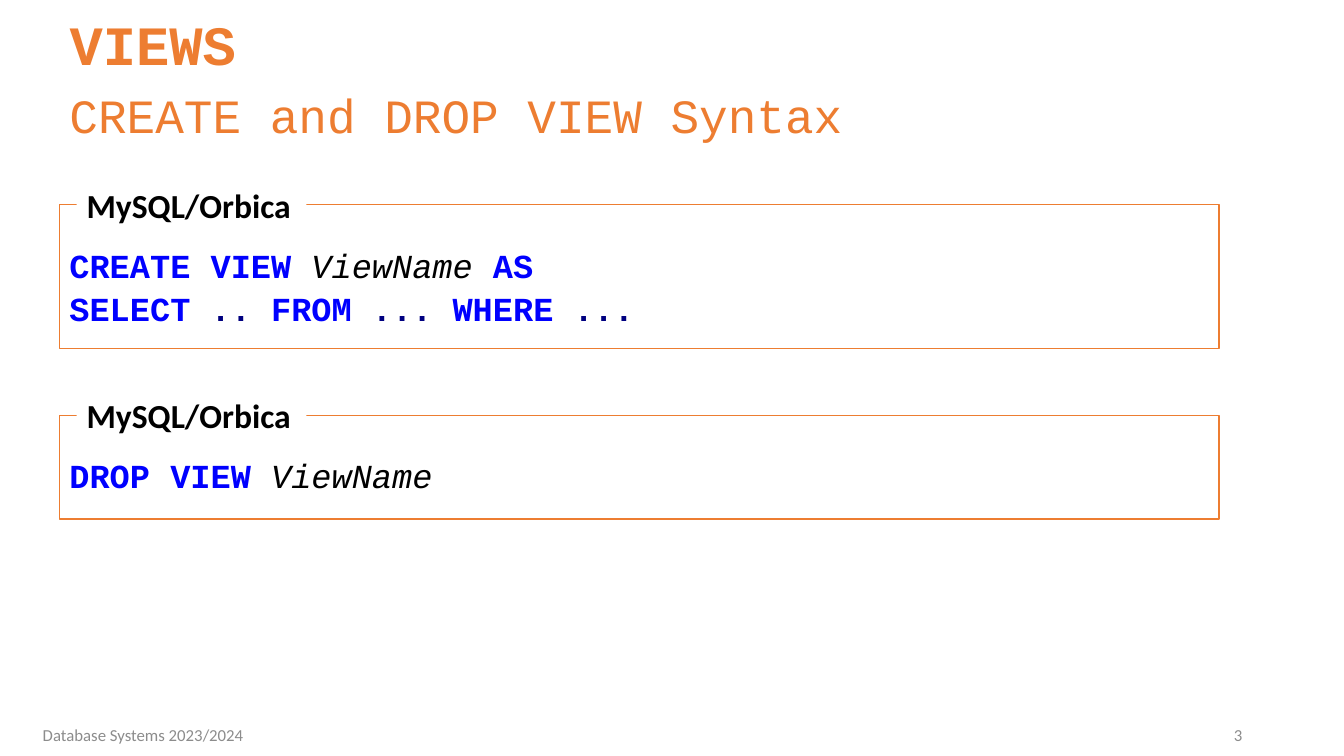
"""Build the slide on CREATE VIEW and DROP VIEW syntax."""
import pptx
import pptx.dml.color
import pptx.enum.shapes
import pptx.enum.text
import pptx.util

Inches = pptx.util.Inches
RGBColor = pptx.dml.color.RGBColor
ALIGN = pptx.enum.text.PP_ALIGN
ANCHOR = pptx.enum.text.MSO_ANCHOR
RECTANGLE = pptx.enum.shapes.MSO_SHAPE.RECTANGLE

ORANGE = RGBColor(0xED, 0x7D, 0x31)
BLUE = RGBColor(0x00, 0x00, 0xFF)
NAVY = RGBColor(0x00, 0x00, 0x80)
BLACK = RGBColor(0x00, 0x00, 0x00)
WHITE = RGBColor(0xFF, 0xFF, 0xFF)
GRAY = RGBColor(0x8C, 0x8C, 0x8C)
CODE_FONT = "Courier New"
TEXT_FONT = "Calibri"


def write_line(shape, text, font_name, size, color, bold=False, align=ALIGN.LEFT, spacing=1.0):
    text_frame = shape.text_frame
    text_frame.word_wrap = True
    text_frame.auto_size = pptx.enum.text.MSO_AUTO_SIZE.NONE
    text_frame.vertical_anchor = ANCHOR.MIDDLE
    text_frame.text = text
    paragraph = text_frame.paragraphs[0]
    paragraph.alignment = align
    paragraph.line_spacing = spacing
    paragraph.space_before = pptx.util.Pt(0)
    font = paragraph.runs[0].font
    font.name = font_name
    font.size = pptx.util.Pt(size)
    font.bold = bold
    font.color.rgb = color


def add_white_box(slide, left, top, width, height):
    box = slide.shapes.add_shape(RECTANGLE, Inches(left), Inches(top), Inches(width), Inches(height))
    box.shadow.inherit = False
    box.fill.solid()
    box.fill.fore_color.rgb = WHITE
    box.line.fill.background()
    return box


presentation = pptx.Presentation()
presentation.slide_width = Inches(13.33)
presentation.slide_height = Inches(7.5)
slide = presentation.slides.add_slide(presentation.slide_layouts[5])

title = slide.shapes.title
title.left, title.top = Inches(0.59), Inches(0.15)
title.width, title.height = Inches(11.72), Inches(0.69)
write_line(title, "VIEWS", CODE_FONT, 39.6, ORANGE, bold=True, spacing=0.8)

subtitle = slide.shapes.add_textbox(Inches(0.59), Inches(0.83), Inches(11.72), Inches(0.69))
write_line(subtitle, "CREATE and DROP VIEW Syntax", CODE_FONT, 34.1, ORANGE, spacing=0.9)

syntax_boxes = [
    (2.03, 1.43, ["CREATE VIEW ViewName AS", "SELECT .. FROM ... WHERE ..."]),
    (4.12, 1.03, ["DROP VIEW ViewName"]),
]
for top, height, code_lines in syntax_boxes:
    code_box = add_white_box(slide, 0.59, top, 11.5, height)
    code_box.line.color.rgb = ORANGE
    code_box.line.width = pptx.util.Pt(1)
    text_frame = code_box.text_frame
    text_frame.word_wrap = True
    text_frame.vertical_anchor = ANCHOR.TOP
    text_frame.margin_top = Inches(0.37)
    for index, code_line in enumerate(code_lines):
        paragraph = text_frame.add_paragraph() if index else text_frame.paragraphs[0]
        paragraph.alignment = ALIGN.LEFT
        paragraph.line_spacing = 1.07
        words = code_line.split()
        for position, word in enumerate(words):
            run = paragraph.add_run()
            run.text = word if position == len(words) - 1 else word + " "
            run.font.name = CODE_FONT
            run.font.size = pptx.util.Pt(24)
            run.font.bold = word != "ViewName"
            run.font.italic = word == "ViewName"
            if word.isupper():
                run.font.color.rgb = BLUE
            else:
                run.font.color.rgb = BLACK if word == "ViewName" else NAVY

    label = add_white_box(slide, 0.76, top - 0.25, 2.28, 0.5)
    write_line(label, "MySQL/Orbica", TEXT_FONT, 24, BLACK, bold=True)

footers = [
    (9.42, 3, "3", ALIGN.RIGHT),
    (0, 2.84, "Database Systems 2023/2024", ALIGN.CENTER),
]
for left, width, text, align in footers:
    footer = slide.shapes.add_textbox(Inches(left), Inches(7.09), Inches(width), Inches(0.4))
    write_line(footer, text, TEXT_FONT, 12, GRAY, align=align)

presentation.save("out.pptx")
